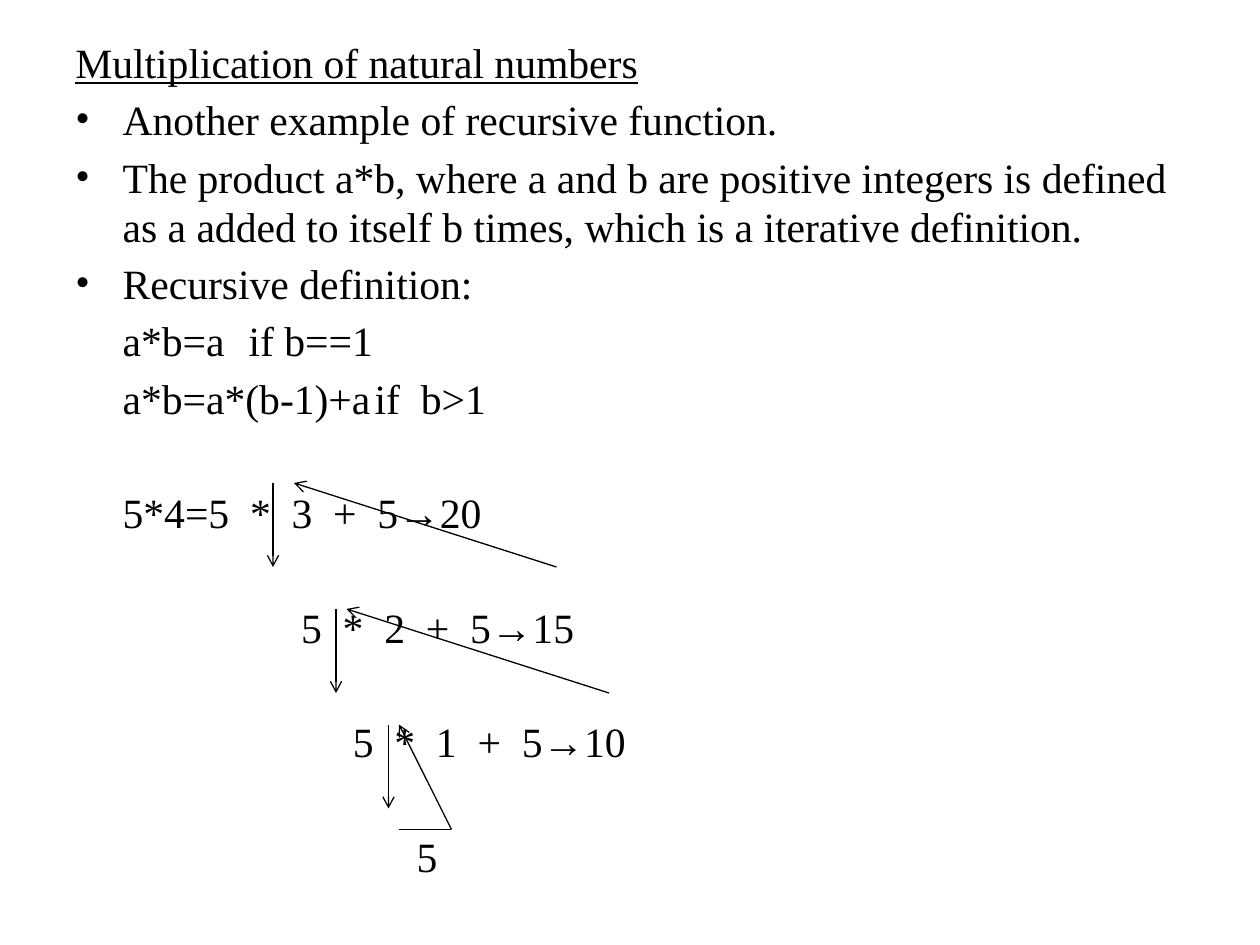
from dataclasses import dataclass

from lxml.etree import SubElement
from pptx import Presentation
from pptx.dml.color import RGBColor
from pptx.enum.shapes import MSO_CONNECTOR
from pptx.oxml.ns import qn
from pptx.util import Pt


@dataclass(frozen=True)
class Theme:
    font: str = "Times New Roman"
    size: float = 23.8
    ink: RGBColor = RGBColor(0, 0, 0)
    line_height: float = 28
    gap: float = 4.75
    hanging: float = 27
    tab: float = 72
    stroke: float = 0.75


THEME = Theme()

# Content: (text, left indent, kind, empty lines above)
LINES = [
    ("Multiplication of natural numbers", 0, "title", 0),
    ("Another example of recursive function.", THEME.hanging, "bullet", 0),
    ("The product a*b, where a and b are positive integers is defined as a "
     "added to itself b times, which is a iterative definition.",
     THEME.hanging, "bullet", 0),
    ("Recursive definition:", THEME.hanging, "bullet", 0),
    ("a*b=a\tif b==1", THEME.hanging, "plain", 0),
    ("a*b=a*(b-1)+a\tif  b>1", THEME.hanging, "plain", 0),
    ("5*4=5  *  3  +  5→20", THEME.hanging, "plain", 1),
    ("5  *  2  +  5→15", 129, "plain", 1),
    ("5  *  1  +  5→10", 158.5, "plain", 1),
    ("5", 195, "plain", 1),
]

# Lines in points: (start, end, has arrowhead)
CALL_ARROWS = [((x, y), (x, y + 48), True)
               for x, y in [(156, 276), (192, 348), (222, 414)]]
RETURN_ARROWS = [((x + 150, y + 48), (x, y), True)
                 for x, y in [(198, 348), (168, 276)]]
LAST_RETURN = [((228, 474), (258, 474), False),
               ((258, 474), (228, 414), True)]


def add_line(slide, start, end, has_head):
    connector = slide.shapes.add_connector(
        MSO_CONNECTOR.STRAIGHT, *map(Pt, start + end))
    connector.line.color.rgb = THEME.ink
    connector.line.width = Pt(THEME.stroke)
    properties = connector._element.spPr
    if has_head:
        SubElement(properties.find(qn("a:ln")), qn("a:tailEnd"), type="arrow")
    SubElement(properties, qn("a:effectLst"))


def write_paragraph(paragraph, text, indent, kind, empty_lines, is_first):
    properties = paragraph._p.get_or_add_pPr()
    properties.set("marL", str(Pt(indent)))
    properties.set("indent", str(Pt(-THEME.hanging if kind == "bullet" else 0)))
    properties.set("defTabSz", str(Pt(THEME.tab)))
    if kind == "bullet":
        SubElement(properties, qn("a:buFont"), typeface=THEME.font)
        SubElement(properties, qn("a:buChar"), char="•")
    paragraph.line_spacing = Pt(THEME.line_height)
    pitch = THEME.line_height + THEME.gap
    paragraph.space_before = Pt(0 if is_first else THEME.gap + empty_lines * pitch)
    run = paragraph.add_run()
    run.text = text
    run.font.name = THEME.font
    run.font.size = Pt(THEME.size)
    run.font.color.rgb = THEME.ink
    run.font.underline = kind == "title"


def main():
    presentation = Presentation()
    presentation.slide_width, presentation.slide_height = Pt(720), Pt(540)
    slide = presentation.slides.add_slide(presentation.slide_layouts[6])

    # Text
    body = slide.shapes.add_textbox(Pt(36), Pt(18), Pt(648), Pt(504))
    frame = body.text_frame
    frame.word_wrap = True
    for index, line in enumerate(LINES):
        paragraph = frame.add_paragraph() if index else frame.paragraphs[0]
        write_paragraph(paragraph, *line, is_first=index == 0)

    # Recursion arrows
    for line in CALL_ARROWS + RETURN_ARROWS + LAST_RETURN:
        add_line(slide, *line)

    presentation.save("out.pptx")


if __name__ == "__main__":
    main()
